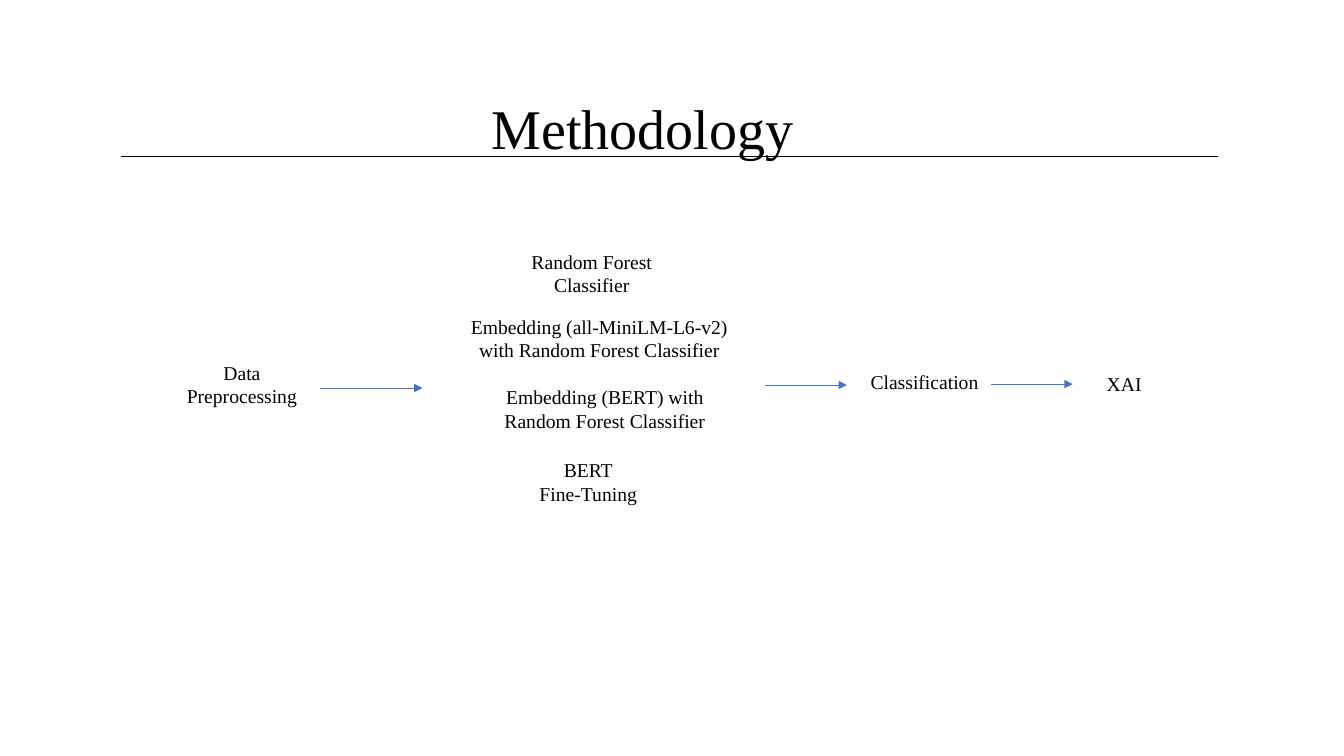
"""Build the Methodology slide: a pipeline of steps joined by arrows."""
from dataclasses import dataclass

from lxml import etree
from pptx import Presentation
from pptx.dml.color import RGBColor
from pptx.enum.shapes import MSO_CONNECTOR, MSO_SHAPE
from pptx.enum.text import MSO_ANCHOR, PP_ALIGN
from pptx.oxml.ns import qn
from pptx.util import Inches, Pt

RECT = MSO_SHAPE.RECTANGLE
LINE = MSO_CONNECTOR.STRAIGHT
TOP, MIDDLE = MSO_ANCHOR.TOP, MSO_ANCHOR.MIDDLE
LEFT, CENTER = PP_ALIGN.LEFT, PP_ALIGN.CENTER
FACE = "Times New Roman"
BLACK, WHITE, BLUE = "000000", "FFFFFF", "4472C4"


@dataclass
class Label:
    lines: tuple[str, ...]
    left: float
    top: float
    width: float
    height: float
    fill: str = ""
    lift: float = 0
    size: int = 14
    align: int = CENTER
    anchor: int = MIDDLE
    space: float = 1.0


@dataclass
class Rule:
    left: float
    right: float
    y: float
    hue: str = BLUE
    weight: float = 0.5
    arrow: bool = True


LABELS = (
    Label(("Methodology",), 4.78, 0.55, 4.57, 0.99,
          size=40, align=LEFT, anchor=TOP, space=1.5),
    Label(("Data", "Preprocessing"), 1.18, 3.38, 2.44, 0.86, WHITE),
    Label(("Random Forest", "Classifier"), 4.74, 2.28, 2.26, 0.86, WHITE),
    Label(("Embedding (all-MiniLM-L6-v2) with Random Forest Classifier",),
          4.57, 3.02, 2.75, 0.9, lift=0.23),
    Label(("Embedding (BERT) with Random Forest Classifier",),
          4.78, 3.74, 2.44, 0.86, WHITE, lift=0.23),
    Label(("BERT", "Fine-Tuning"), 4.67, 4.57, 2.33, 0.65, lift=0.23),
    Label(("Classification",), 8.31, 3.41, 1.72, 0.75),
    Label(("XAI",), 10.16, 3.64, 1.98, 0.34, anchor=TOP),
)
RULES = (
    Rule(1.2, 12.08, 1.55, BLACK, 1, False),
    Rule(3.17, 4.19, 3.85),
    Rule(7.59, 8.4, 3.82),
    Rule(9.83, 10.64, 3.81),
)


def color(code: str) -> RGBColor:
    """Turn a hex string into a colour."""
    return RGBColor.from_string(code)


def apply(target: object, values: dict) -> None:
    """Set each named attribute on the target."""
    for name, value in values.items():
        setattr(target, name, value)


def draw_label(shapes, label: Label) -> None:
    """Draw one label, on a filled rectangle if it has a fill."""
    area = [Inches(n) for n in (label.left, label.top, label.width, label.height)]
    if label.fill:
        box = shapes.add_shape(RECT, *area)
        box.shadow.inherit = False
        box.fill.solid()
        box.fill.fore_color.rgb = color(label.fill)
        box.line.fill.background()
    else:
        box = shapes.add_textbox(*area)
    frame = box.text_frame
    frame.text = "\n".join(label.lines)
    apply(frame, {"word_wrap": True, "vertical_anchor": label.anchor,
                  "margin_bottom": Inches(0.05 + label.lift)})
    for para in frame.paragraphs:
        apply(para, {"alignment": label.align, "line_spacing": label.space})
        for run in para.runs:
            apply(run.font, {"name": FACE, "size": Pt(label.size)})
            run.font.color.rgb = color(BLACK)


def draw_rule(shapes, rule: Rule) -> None:
    """Draw one level line, with an arrowhead if asked."""
    y = Inches(rule.y)
    link = shapes.add_connector(LINE, Inches(rule.left), y, Inches(rule.right), y)
    link.line.width = Pt(rule.weight)
    link.line.color.rgb = color(rule.hue)
    props = link._element.spPr
    if rule.arrow:
        etree.SubElement(props.find(qn("a:ln")), qn("a:tailEnd"), type="triangle")
    etree.SubElement(props, qn("a:effectLst"))


def main() -> None:
    """Build and save the slide."""
    deck = Presentation()
    apply(deck, {"slide_width": Inches(13.33), "slide_height": Inches(7.5)})
    shapes = deck.slides.add_slide(deck.slide_layouts[6]).shapes
    for label in LABELS:
        draw_label(shapes, label)
    for rule in RULES:
        draw_rule(shapes, rule)
    deck.save("out.pptx")


if __name__ == "__main__":
    main()
